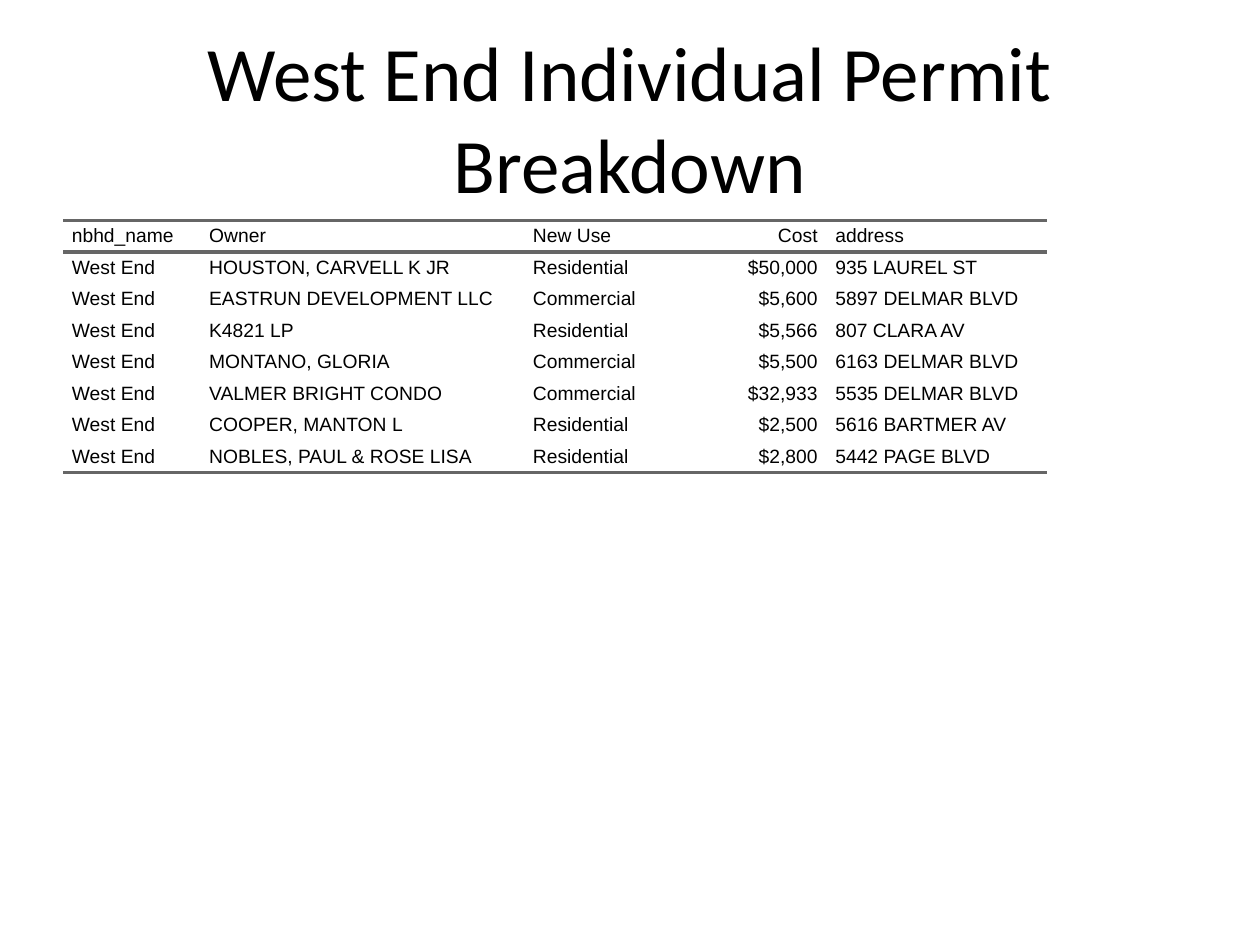
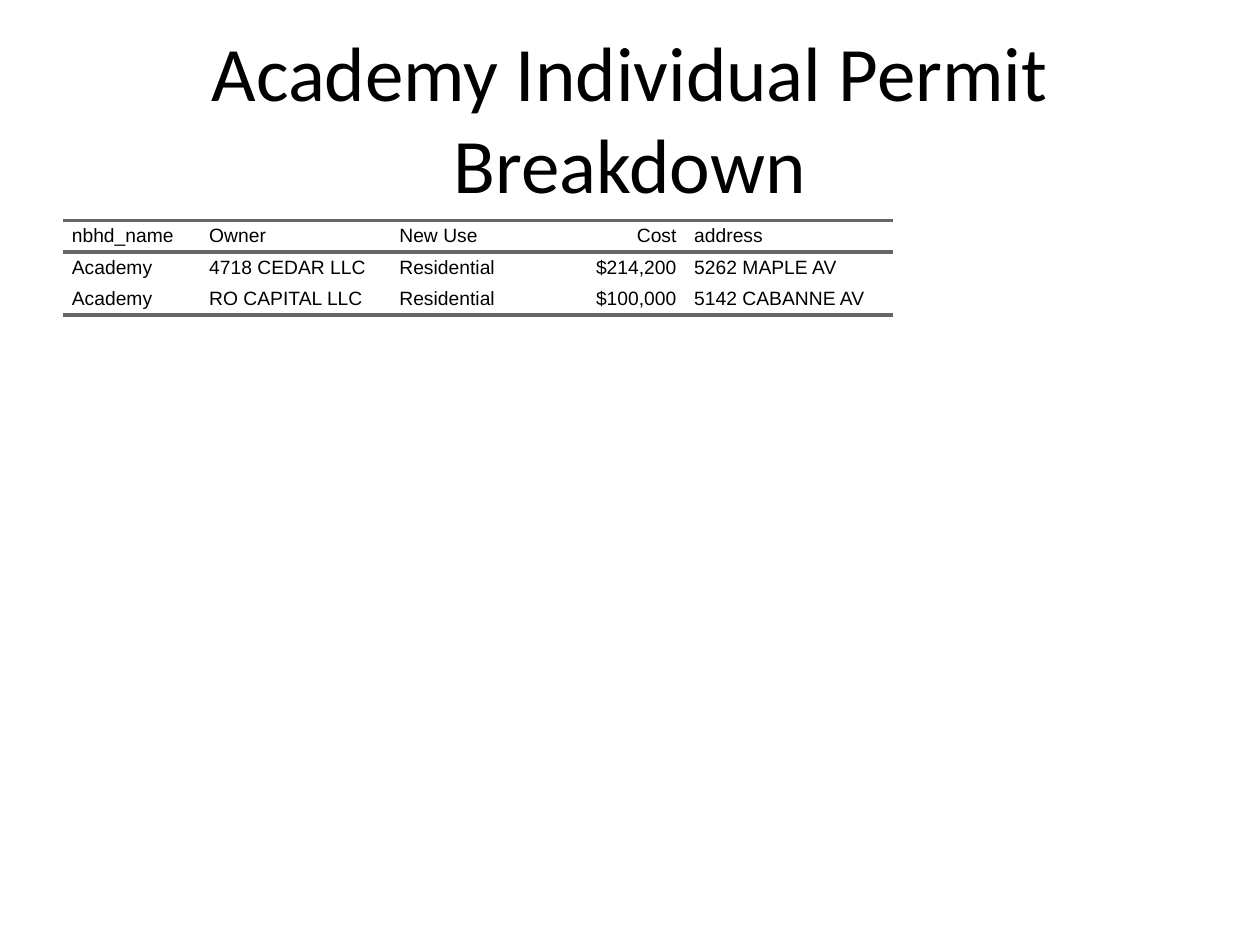
from dataclasses import dataclass

from lxml import etree
from pptx import Presentation
from pptx.dml.color import RGBColor
from pptx.enum.text import MSO_ANCHOR, MSO_AUTO_SIZE, PP_ALIGN
from pptx.oxml.ns import qn
from pptx.util import Inches, Pt

LEFT, CENTER, RIGHT = PP_ALIGN.LEFT, PP_ALIGN.CENTER, PP_ALIGN.RIGHT
MIDDLE = MSO_ANCHOR.MIDDLE
NO_FIT = MSO_AUTO_SIZE.NONE

COLORS = {"background": "FFFFFF", "text": "000000", "rule": "666666"}
COLUMN, ROW = Inches(0.1), Inches(0.25)
TITLE_ONLY = 5
CELL_INDENT = Inches(0.07)
RULE_WIDTH = Pt(2)
HEADINGS = ("nbhd_name", "Owner", "New Use", "Cost", "address")
COST = HEADINGS.index("Cost")


@dataclass(frozen=True)
class Area:
    column: float
    row: float
    columns: float
    rows: float

    def lengths(self) -> tuple[int, int, int, int]:
        return (int(self.column * COLUMN), int(self.row * ROW),
                int(self.columns * COLUMN), int(self.rows * ROW))


@dataclass(frozen=True)
class Permit:
    owner: str
    new_use: str
    cost: int
    address: str


@dataclass(frozen=True)
class Neighborhood:
    name: str
    column_widths: tuple[float, ...]
    permits: tuple[Permit, ...]


TITLE_AREA = Area(5, 1.2, 90, 5)
PERMIT_AREA = Area(5, 7, 90, 19.8)

NEIGHBORHOODS = (
    Neighborhood("West End", (10.9, 25.7, 11, 13, 17.5), (
        Permit("HOUSTON, CARVELL K JR", "Residential", 50000, "935 LAUREL ST"),
        Permit("EASTRUN DEVELOPMENT LLC", "Commercial", 5600, "5897 DELMAR BLVD"),
        Permit("K4821 LP", "Residential", 5566, "807 CLARA AV"),
        Permit("MONTANO, GLORIA", "Commercial", 5500, "6163 DELMAR BLVD"),
        Permit("VALMER BRIGHT CONDO", "Commercial", 32933, "5535 DELMAR BLVD"),
        Permit("COOPER, MANTON L", "Residential", 2500, "5616 BARTMER AV"),
        Permit("NOBLES, PAUL & ROSE LISA", "Residential", 2800, "5442 PAGE BLVD"),
    )),
    Neighborhood("Academy", (10.9, 15.1, 10.4, 13, 16.5), (
        Permit("4718 CEDAR LLC", "Residential", 214200, "5262 MAPLE AV"),
        Permit("RO CAPITAL LLC", "Residential", 100000, "5142 CABANNE AV"),
    )),
)


def write_text(frame, text: str, *, font: str, size: float, align=LEFT,
               indent: int = 0, space_after: float = 0) -> None:
    paragraph = frame.paragraphs[0]
    paragraph.alignment = align
    paragraph.space_before = Pt(0)
    paragraph.space_after = Pt(space_after)
    properties = paragraph._p.get_or_add_pPr()
    properties.set("marL", str(indent))
    properties.set("marR", str(indent))
    properties.set("indent", "0")
    run = paragraph.add_run()
    run.text = text
    run.font.name = font
    run.font.size = Pt(size)
    run.font.color.rgb = RGBColor.from_string(COLORS["text"])


def set_rules(cell, *, above: bool, below: bool) -> None:
    properties = cell._tc.get_or_add_tcPr()
    for tag, ruled in (("a:lnL", False), ("a:lnR", False),
                       ("a:lnT", above), ("a:lnB", below)):
        line = etree.SubElement(properties, qn(tag))
        if ruled:
            line.set("w", str(RULE_WIDTH))
            fill = etree.SubElement(line, qn("a:solidFill"))
            etree.SubElement(fill, qn("a:srgbClr"), val=COLORS["rule"])
        else:
            line.set("w", "0")
            etree.SubElement(line, qn("a:noFill"))


def place_title(slide, neighborhood: Neighborhood) -> None:
    title = slide.shapes.title
    title.left, title.top, title.width, title.height = TITLE_AREA.lengths()
    frame = title.text_frame
    frame.word_wrap = True
    frame.auto_size = NO_FIT
    frame.vertical_anchor = MIDDLE
    write_text(frame, f"{neighborhood.name} Individual Permit Breakdown",
               font="Calibri", size=44, align=CENTER)


def add_permits(slide, neighborhood: Neighborhood) -> None:
    records = [HEADINGS] + [
        (neighborhood.name, permit.owner, permit.new_use,
         f"${permit.cost:,}", permit.address)
        for permit in neighborhood.permits
    ]
    holder = slide.shapes.add_table(len(records), len(HEADINGS),
                                    *PERMIT_AREA.lengths())
    permits = holder.table
    permits.first_row = False
    permits.horz_banding = False
    for column, width in zip(permits.columns, neighborhood.column_widths):
        column.width = int(width * COLUMN)
    for row in permits.rows:
        row.height = ROW
    _, _, holder.width, holder.height = PERMIT_AREA.lengths()

    last = len(records) - 1
    for row_index, record in enumerate(records):
        for column_index, text in enumerate(record):
            cell = permits.cell(row_index, column_index)
            cell.margin_left = cell.margin_right = 0
            cell.margin_top = cell.margin_bottom = 0
            cell.vertical_anchor = MIDDLE
            set_rules(cell, above=row_index <= 1, below=row_index in (0, last))
            cell.fill.background()
            write_text(cell.text_frame, text, font="Arial", size=11,
                       align=RIGHT if column_index == COST else LEFT,
                       indent=CELL_INDENT, space_after=5)


def main() -> None:
    presentation = Presentation()
    presentation.slide_width = 100 * COLUMN
    presentation.slide_height = 30 * ROW
    for neighborhood in NEIGHBORHOODS:
        slide = presentation.slides.add_slide(presentation.slide_layouts[TITLE_ONLY])
        background = slide.background.fill
        background.solid()
        background.fore_color.rgb = RGBColor.from_string(COLORS["background"])
        place_title(slide, neighborhood)
        add_permits(slide, neighborhood)
    presentation.save("out.pptx")


if __name__ == "__main__":
    main()
